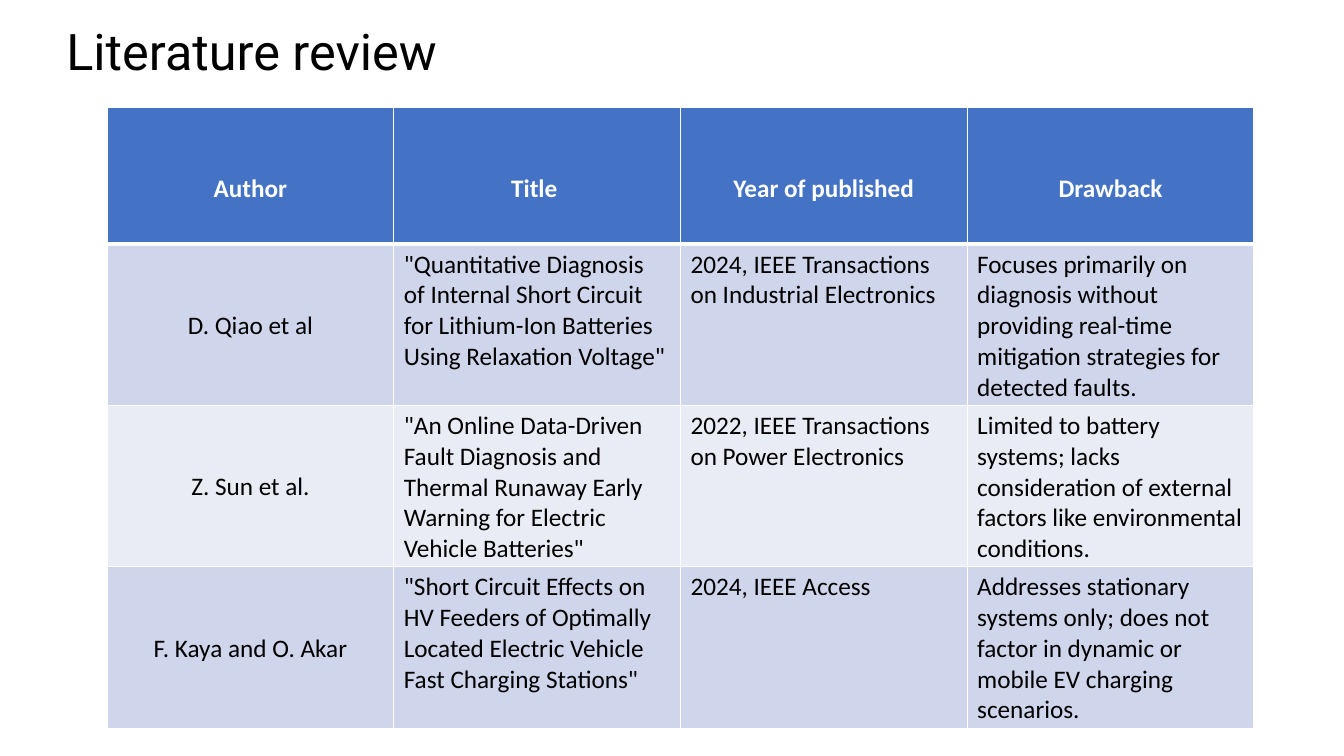
from lxml import etree
from pptx import Presentation
from pptx import util as u
from pptx.dml import color
from pptx.enum import text
from pptx.oxml import ns

BLACK = color.RGBColor(0x00, 0x00, 0x00)
WHITE = color.RGBColor(0xFF, 0xFF, 0xFF)
HEADER_BLUE = color.RGBColor(0x44, 0x72, 0xC4)
BANDS = color.RGBColor(0xCF, 0xD5, 0xEA), color.RGBColor(0xE9, 0xEB, 0xF5)

HEADER_HEIGHT = 97.9
BODY_HEIGHT = 115.2
CENTRED_TOP = 47.5

REVIEW = [
    ("Author", "Title ", "Year of published", "Drawback"),
    ("D. Qiao et al",
     '"Quantitative Diagnosis of Internal Short Circuit for Lithium-Ion Batteries Using Relaxation Voltage"',
     "2024, IEEE Transactions on Industrial Electronics",
     "Focuses primarily on diagnosis without providing real-time mitigation strategies for detected faults."),
    ("Z. Sun et al.",
     '"An Online Data-Driven Fault Diagnosis and Thermal Runaway Early Warning for Electric Vehicle Batteries"',
     "2022, IEEE Transactions on Power Electronics",
     "Limited to battery systems; lacks consideration of external factors like environmental conditions."),
    ("F. Kaya and O. Akar",
     '"Short Circuit Effects on HV Feeders of Optimally Located Electric Vehicle Fast Charging Stations"',
     "2024, IEEE Access",
     "Addresses stationary systems only; does not factor in dynamic or mobile EV charging scenarios."),
]


def write(frame, words, *, font="Calibri", size=18, ink=BLACK, bold=False,
          align=text.PP_ALIGN.LEFT):
    para = frame.paragraphs[0]
    para.alignment = align
    span = para.add_run()
    span.text = words
    span.font.name = font
    span.font.size = u.Pt(size)
    span.font.bold = bold
    span.font.color.rgb = ink


def add_borders(cell, widths):
    properties = cell._tc.get_or_add_tcPr()
    for index, (side, width) in enumerate(widths.items()):
        line = etree.Element(ns.qn(f"a:ln{side}"), w=str(u.Pt(width)))
        fill = etree.SubElement(line, ns.qn("a:solidFill"))
        etree.SubElement(fill, ns.qn("a:srgbClr"), val=str(WHITE))
        properties.insert(index, line)


class ReviewPage:
    def __init__(self, deck):
        self.page = deck.slides.add_slide(deck.slide_layouts[6])

    def title(self, words, left, top, width, height):
        box = self.page.shapes.add_textbox(*map(u.Pt, (left, top, width, height)))
        box.text_frame.word_wrap = True
        write(box.text_frame, words, font="Roboto", size=36)

    def table(self, rows, left, top, width):
        heights = [HEADER_HEIGHT] + [BODY_HEIGHT] * (len(rows) - 1)
        frame = self.page.shapes.add_table(
            len(rows), len(rows[0]), *map(u.Pt, (left, top, width, sum(heights))))
        table = frame.table
        table.horz_banding = False
        for row, height in zip(table.rows, heights):
            row.height = u.Pt(height)
        for r, values in enumerate(rows):
            for c, words in enumerate(values):
                self.cell(table.cell(r, c), words, r, c)

    def cell(self, cell, words, row, column):
        header = row == 0
        centred = header or column == 0
        cell.fill.solid()
        cell.fill.fore_color.rgb = HEADER_BLUE if header else BANDS[(row - 1) % 2]
        if centred:
            cell.margin_top = u.Pt(CENTRED_TOP)
        write(cell.text_frame, words, bold=header, ink=WHITE if header else BLACK,
              align=text.PP_ALIGN.CENTER if centred else text.PP_ALIGN.LEFT)
        add_borders(cell, {"L": 1, "R": 1, "T": 3 if row == 1 else 1,
                           "B": 3 if header else 1})


def main():
    deck = Presentation()
    deck.slide_width, deck.slide_height = u.Pt(960), u.Pt(540)
    page = ReviewPage(deck)
    page.title("Literature review", 40.3, 10.8, 480, 51)
    page.table(REVIEW, 76.5, 76.5, 819.2)
    deck.save("out.pptx")


if __name__ == "__main__":
    main()
